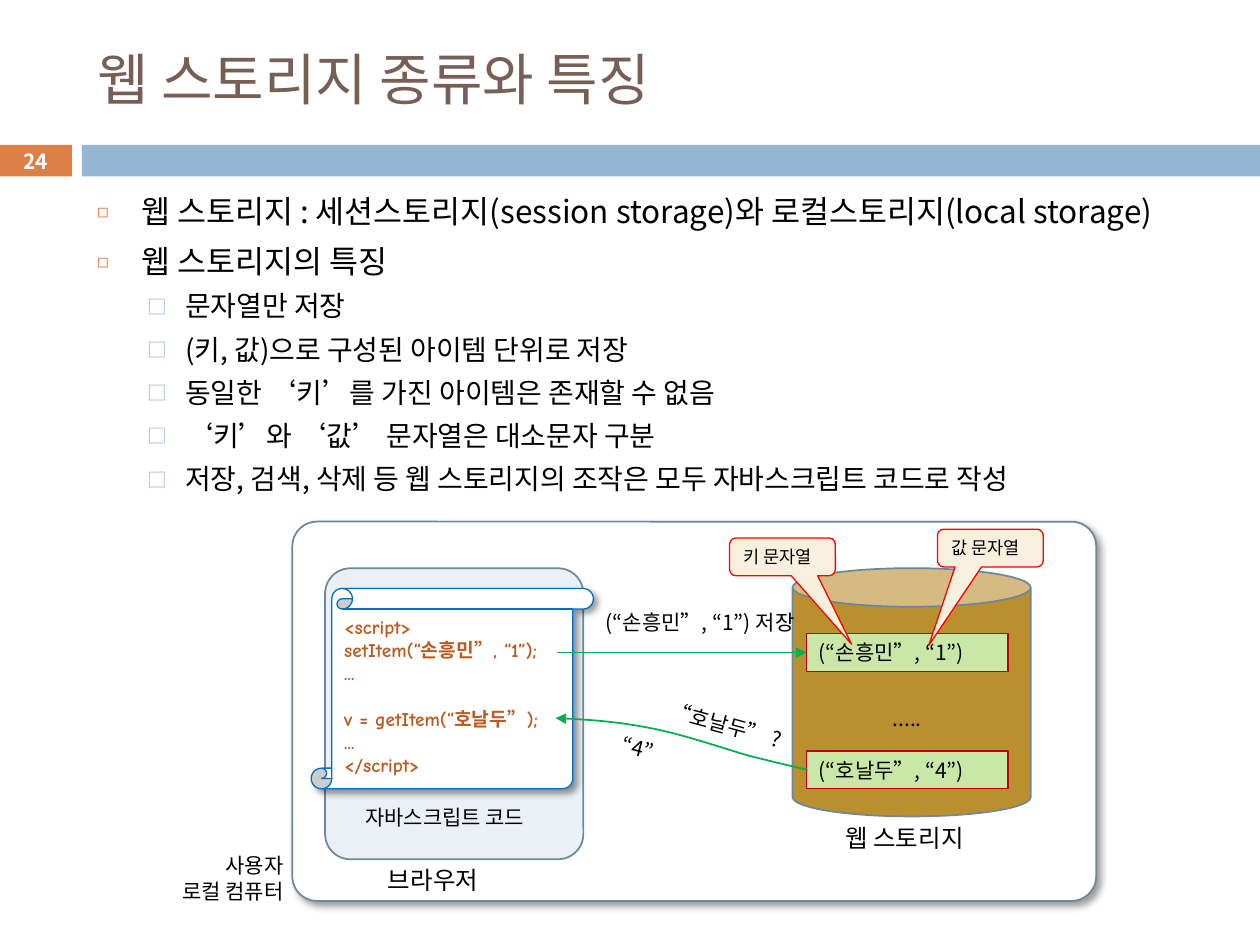
from lxml.etree import SubElement
from pptx import Presentation
from pptx.dml.color import RGBColor
from pptx.enum.shapes import MSO_CONNECTOR as LINK, MSO_SHAPE as KIND
from pptx.enum.text import MSO_ANCHOR as ANCHOR, PP_ALIGN as ALIGN
from pptx.oxml.ns import qn
from pptx.util import Pt


class Theme:
    font, code_font = "Noto Sans CJK KR", "Comic Neue"
    title, text, white = "775F55", "000000", "FFFFFF"
    orange, blue, outline = "DD8047", "94B6D2", "6D879B"
    browser, scroll_line, code = "EAF0F6", "0070C0", "B95B22"
    storage, item, item_line = "BA8F2D", "C9E7A7", "C00000"
    callout, callout_line, arrow = "F7F0DE", "FF0000", "00B050"
    title_size, topic_size, point_size = 32, 18, 16
    caption_size, label_size, code_size, callout_size = 14, 12, 11, 10


def write(box, lines, size=Theme.label_size, color=Theme.text, font=Theme.font,
          bold=False, align=ALIGN.LEFT, anchor=ANCHOR.TOP, wrap=True):
    frame = box.text_frame
    frame.word_wrap, frame.vertical_anchor = wrap, anchor
    for index, line in enumerate(lines):
        para = frame.paragraphs[0] if index == 0 else frame.add_paragraph()
        para.alignment = align
        span = para.add_run()
        span.text = line
        for name, value in dict(name=font, size=Pt(size), bold=bold).items():
            setattr(span.font, name, value)
        span.font.color.rgb = RGBColor.from_string(color)
        SubElement(span.font._element, qn("a:ea"), typeface=Theme.font)
    return frame.paragraphs


def draw(kind, place, fill, line=None, width=1, adjust=(), shadow=False):
    shape = page.shapes.add_shape(kind, *map(Pt, place))
    for index, value in enumerate(adjust):
        shape.adjustments[index] = value
    shape.fill.solid()
    shape.fill.fore_color.rgb = RGBColor.from_string(fill)
    if line:
        shape.line.color.rgb = RGBColor.from_string(line)
        shape.line.width = Pt(width)
    else:
        shape.line.fill.background()
    shape.shadow.inherit = False
    if shadow:
        effects = shape.element.spPr.find(qn("a:effectLst"))
        outer = SubElement(effects, qn("a:outerShdw"), blurRad=str(Pt(4)), dist=str(Pt(3)),
                           dir="2700000", algn="tl", rotWithShape="0")
        tint = SubElement(outer, qn("a:srgbClr"), val="000000")
        SubElement(tint, qn("a:alpha"), val="40000")
    return shape


deck = Presentation()
deck.slide_width, deck.slide_height = Pt(720), Pt(540)
page = deck.slides.add_slide(deck.slide_layouts[1])
title, body = page.placeholders

# Title and header band
for holder, place in ((title, (48.24, 18, 642.24, 53.28)), (body, (48.24, 105.84, 642.24, 396.72))):
    holder.left, holder.top, holder.width, holder.height = map(Pt, place)
write(title, ["웹 스토리지 종류와 특징"], Theme.title_size, Theme.title, anchor=ANCHOR.MIDDLE)
draw(KIND.RECTANGLE, (46.8, 82.8, 673.2, 18), Theme.blue)
number = draw(KIND.RECTANGLE, (-0.72, 82.8, 41.76, 18), Theme.orange)
write(number, ["24"], 11.9, Theme.white, bold=True, align=ALIGN.CENTER, anchor=ANCHOR.MIDDLE)

# Bulleted list
points = [
    (0, "웹 스토리지 : 세션스토리지(session storage)와 로컬스토리지(local storage)"),
    (0, "웹 스토리지의 특징"),
    (1, "문자열만 저장"),
    (1, "(키, 값)으로 구성된 아이템 단위로 저장"),
    (1, "동일한 ‘키’를 가진 아이템은 존재할 수 없음"),
    (1, "‘키’와 ‘값’ 문자열은 대소문자 구분"),
    (1, "저장, 검색, 삭제 등 웹 스토리지의 조작은 모두 자바스크립트 코드로 작성"),
]
levels = [
    dict(size=Theme.topic_size, before=7, left=25.2, hang=25.2, mark="◻", color=Theme.orange, scale=60),
    dict(size=Theme.point_size, before=5.5, left=50.4, hang=21.6, mark="□", color=Theme.blue, scale=70),
]
paras = write(body, [text for _, text in points])
for index, (para, (level, _)) in enumerate(zip(paras, points)):
    style = levels[level]
    para.level = level
    para.space_before = Pt(style["before"] if index else 0)
    props = para._p.get_or_add_pPr()
    props.set("marL", str(Pt(style["left"])))
    props.set("indent", str(-Pt(style["hang"])))
    SubElement(SubElement(props, qn("a:buClr")), qn("a:srgbClr"), val=style["color"])
    SubElement(props, qn("a:buSzPct"), val=str(style["scale"] * 1000))
    SubElement(props, qn("a:buFont"), typeface=Theme.font)
    SubElement(props, qn("a:buChar"), char=style["mark"])
    para.runs[0].font.size = Pt(style["size"])

# Computer, storage and browser
draw(KIND.ROUNDED_RECTANGLE, (167.04, 298.08, 459.36, 216.72), Theme.white, Theme.outline,
     adjust=[0.065], shadow=True)
draw(KIND.CAN, (452.88, 324.72, 136.08, 141.84), Theme.storage, Theme.outline, adjust=[0.162])
draw(KIND.ROUNDED_RECTANGLE, (185.76, 324.72, 147.6, 166.32), Theme.browser, Theme.outline,
     adjust=[0.098])

# Script on a scroll
scroll = draw(KIND.VERTICAL_SCROLL, (177.84, 336.24, 161.28, 114.48), Theme.white,
              Theme.scroll_line, 0.75, [0.103], shadow=True)
code = write(scroll, ["<script>", "setItem(“손흥민”, “1”);", "...", "v = getItem(“호날두”);",
                      "...", "</script>"],
             Theme.code_size, Theme.code, Theme.code_font, bold=True)
code[3].space_before = Pt(13)

# Stored items
items = []
for top, text in ((362.16, "(“손흥민”, “1”)"), (429.12, "(“호날두”, “4”)")):
    item = draw(KIND.RECTANGLE, (460.8, top, 115.2, 21.6), Theme.item, Theme.item_line, 0.75)
    write(item, [text])
    items.append(item)

# Labels: lines, left, top, width, height, rotation, format
caption = dict(size=Theme.caption_size, wrap=False)
labels = [
    (["웹 스토리지"], 475.92, 466.56, 90, 24.48, 0, caption),
    (["브라우저"], 214.56, 491.04, 71.28, 24.48, 0, caption),
    (["사용자", "로컬 컴퓨터"], 90, 483.84, 79.2, 36, 0, dict(align=ALIGN.RIGHT, wrap=False)),
    (["(“손흥민”, “1”) 저장"], 339.12, 344.88, 122.4, 21.6, 0, {}),
    (["자바스크립트 코드"], 201.6, 456.48, 115.92, 21.6, 0, dict(wrap=False)),
    (["....."], 460.8, 399.6, 115.2, 21.6, 0, dict(align=ALIGN.CENTER)),
    (["“호날두” ?"], 375.12, 403.2, 77.76, 21.6, 15.3, {}),
    (["“4”"], 348.48, 417.6, 40.32, 21.6, 14.4, {}),
]
for lines, left, top, width, height, turn, style in labels:
    box = page.shapes.add_textbox(Pt(left), Pt(top), Pt(width), Pt(height))
    box.rotation = turn
    write(box, lines, **style)

# Curved arrow: every three points after the start make one Bézier segment
curve = [(317.5, 410.4), (335.5, 411.1), (354.2, 412.6), (372.2, 416.2), (391, 419.8),
         (413.3, 427.7), (428.4, 432), (442.8, 435.6), (452.2, 437.8), (461.5, 440)]
builder = page.shapes.build_freeform(Pt(curve[0][0]), Pt(curve[0][1]))
builder.add_line_segments([(Pt(x), Pt(y)) for x, y in curve[1:]], close=False)
answer = builder.convert_to_shape()
answer.fill.background()
answer.shadow.inherit = False
track = answer.element.spPr.find(".//" + qn("a:path"))
steps = track.findall(qn("a:lnTo"))
for start in range(0, len(steps), 3):
    bend = SubElement(track, qn("a:cubicBezTo"))
    for step in steps[start:start + 3]:
        bend.append(step[0])
        track.remove(step)

# Straight arrow into the first item
save = page.shapes.add_connector(LINK.STRAIGHT, Pt(318.24), Pt(372.96), Pt(460.8), Pt(372.96))
save.end_connect(items[0], 1)

for arrow, width, end in ((answer, 1, "a:headEnd"), (save, 0.79, "a:tailEnd")):
    arrow.line.color.rgb = RGBColor.from_string(Theme.arrow)
    arrow.line.width = Pt(width)
    SubElement(arrow.element.spPr.find(qn("a:ln")), qn(end), type="triangle")
SubElement(save.element.spPr, qn("a:effectLst"))

# Callouts
for text, left, top, adjust in (("키 문자열", 416.88, 307.44, [0.653, 2.311, 0.167]),
                                ("값 문자열", 535.68, 302.4, [-0.582, 2.576, 0.167])):
    callout = draw(KIND.ROUNDED_RECTANGULAR_CALLOUT, (left, top, 60.48, 21.6), Theme.callout,
                   Theme.callout_line, 0.75, adjust)
    write(callout, [text], Theme.callout_size, wrap=False)

deck.save("out.pptx")
